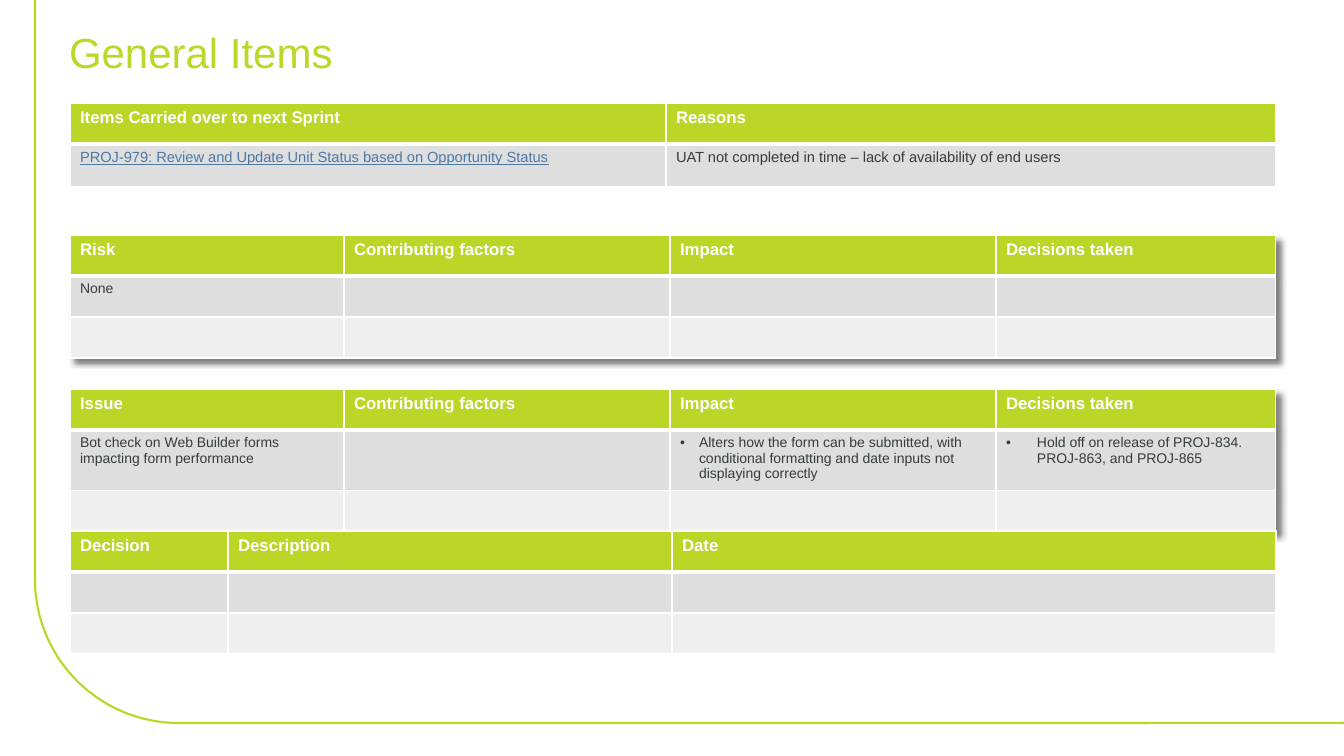
from lxml import etree
from pptx import Presentation
from pptx.dml.color import RGBColor
from pptx.enum.shapes import MSO_SHAPE
from pptx.enum.text import MSO_ANCHOR
from pptx.oxml import parse_xml
from pptx.oxml.ns import qn
from pptx.util import Pt

ROUND = MSO_SHAPE.ROUNDED_RECTANGLE
MIDDLE = MSO_ANCHOR.MIDDLE
SCALE = 914400 / 100.8
NS = 'xmlns:a="http://schemas.openxmlformats.org/drawingml/2006/main"'
LIME = RGBColor(0xBB, 0xD6, 0x27)
TITLE = RGBColor(0xBC, 0xD7, 0x27)
FRAME = RGBColor(0xBD, 0xD6, 0x26)
WHITE = RGBColor(0xFF, 0xFF, 0xFF)
DARK = RGBColor(0x37, 0x3C, 0x3C)
BLUE = RGBColor(0x4E, 0x79, 0xA7)
GRAY = RGBColor(0xDE, 0xDE, 0xDE)
PALE = RGBColor(0xEF, 0xEF, 0xEF)
FILLS = [LIME, GRAY, PALE]

HEAD = {"size": Pt(12), "bold": True, "color": WHITE}
BODY = {"size": Pt(10), "bold": False, "color": DARK}
NOTE = {**BODY, "size": Pt(10.5)}
LINK = {**NOTE, "color": BLUE, "underline": True}

LEFT = 70
ROW = 41
WIDE = [274, 326, 326, 280]
TABLES = [
    {"top": 235, "cols": WIDE, "rows": [ROW] * 3, "shade": True,
     "heads": ["Risk", "Contributing factors", "Impact", "Decisions taken"],
     "cells": {(1, 0): ("None", BODY, 0)}},
    {"top": 389, "cols": WIDE, "rows": [ROW, 57, ROW], "shade": True,
     "heads": ["Issue", "Contributing factors", "Impact", "Decisions taken"],
     "cells": {
         (1, 0): ("Bot check on Web Builder forms impacting form performance", BODY, 0),
         (1, 2): ("Alters how the form can be submitted, with conditional "
                  "formatting and date inputs not displaying correctly", BODY, 19),
         (1, 3): ("Hold off on release of PROJ-834. PROJ-863, and PROJ-865", BODY, 31)}},
    {"top": 103, "cols": [596, 610], "rows": [ROW, 43], "shade": False,
     "heads": ["Items Carried over to next Sprint", "Reasons"],
     "cells": {
         (1, 0): ("PROJ-979: Review and Update Unit Status based on "
                  "Opportunity Status", LINK, 0),
         (1, 1): ("UAT not completed in time – lack of availability of end users",
                  NOTE, 0)}},
    {"top": 531, "cols": [158, 444, 604], "rows": [ROW] * 3, "shade": False,
     "heads": ["Decision", "Description", "Date"], "cells": {}},
]


def px(num):
    return round(num * SCALE)


def box(*nums):
    return [px(num) for num in nums]


def write(para, text, form):
    run = para.add_run()
    run.text = text
    run.font.name = "Arial"
    for key, val in form.items():
        if key == "color":
            run.font.color.rgb = val
        else:
            setattr(run.font, key, val)


def bullet(para, indent):
    props = para._p.get_or_add_pPr()
    props.set("marL", str(px(indent)))
    props.set("indent", str(-px(indent)))
    etree.SubElement(props, qn("a:buFont")).set("typeface", "Arial")
    etree.SubElement(props, qn("a:buChar")).set("char", "•")


def border(cell, row):
    props = cell._tc.get_or_add_tcPr()
    sides = {"L": 1, "R": 1, "T": 3 if row == 1 else 1, "B": 3 if row == 0 else 1}
    for spot, (side, width) in enumerate(sides.items()):
        props.insert(spot, parse_xml(
            f'<a:ln{side} {NS} w="{Pt(width)}"><a:solidFill>'
            f'<a:srgbClr val="{WHITE}"/></a:solidFill></a:ln{side}>'))


def shadow(table):
    table._tbl.tblPr.insert(0, parse_xml(
        f'<a:effectLst {NS}><a:outerShdw blurRad="50800" dist="50800" '
        'dir="2700000" algn="tl" rotWithShape="0"><a:srgbClr val="000000">'
        '<a:alpha val="50000"/></a:srgbClr></a:outerShdw></a:effectLst>'))


def grid(slide, top, cols, rows, shade, heads, cells):
    frame = slide.shapes.add_table(
        len(rows), len(cols), *box(LEFT, top, sum(cols), sum(rows)))
    table = frame.table
    table.horz_banding = False
    if shade:
        shadow(table)
    for col, width in zip(table.columns, cols):
        col.width = px(width)
    texts = {(0, col): (head, HEAD, 0) for col, head in enumerate(heads)}
    texts.update(cells)
    for row, height in enumerate(rows):
        table.rows[row].height = px(height)
        for col in range(len(cols)):
            cell = table.cell(row, col)
            cell.fill.solid()
            cell.fill.fore_color.rgb = FILLS[row]
            border(cell, row)
            if (row, col) in texts:
                text, form, indent = texts[row, col]
                para = cell.text_frame.paragraphs[0]
                if indent:
                    bullet(para, indent)
                write(para, text, form)


def edge(slide):
    shape = slide.shapes.add_shape(ROUND, *box(35, -139, 1445, 862))
    shape.shadow.inherit = False
    shape.fill.background()
    shape.line.color.rgb = FRAME
    shape.line.width = Pt(1.5)


def title(slide, text):
    frame = slide.shapes.add_textbox(*box(69, 20, 1096, 64)).text_frame
    form = {"word_wrap": True, "vertical_anchor": MIDDLE, "margin_left": 0,
            "margin_right": 0, "margin_top": 0, "margin_bottom": 0}
    for key, val in form.items():
        setattr(frame, key, val)
    write(frame.paragraphs[0], text, {"size": Pt(30), "color": TITLE})


def main():
    deck = Presentation()
    deck.slide_width, deck.slide_height = box(1344, 756)
    slide = deck.slides.add_slide(deck.slide_layouts[6])
    edge(slide)
    title(slide, "General Items")
    for table in TABLES:
        grid(slide, **table)
    deck.save("out.pptx")


if __name__ == "__main__":
    main()
